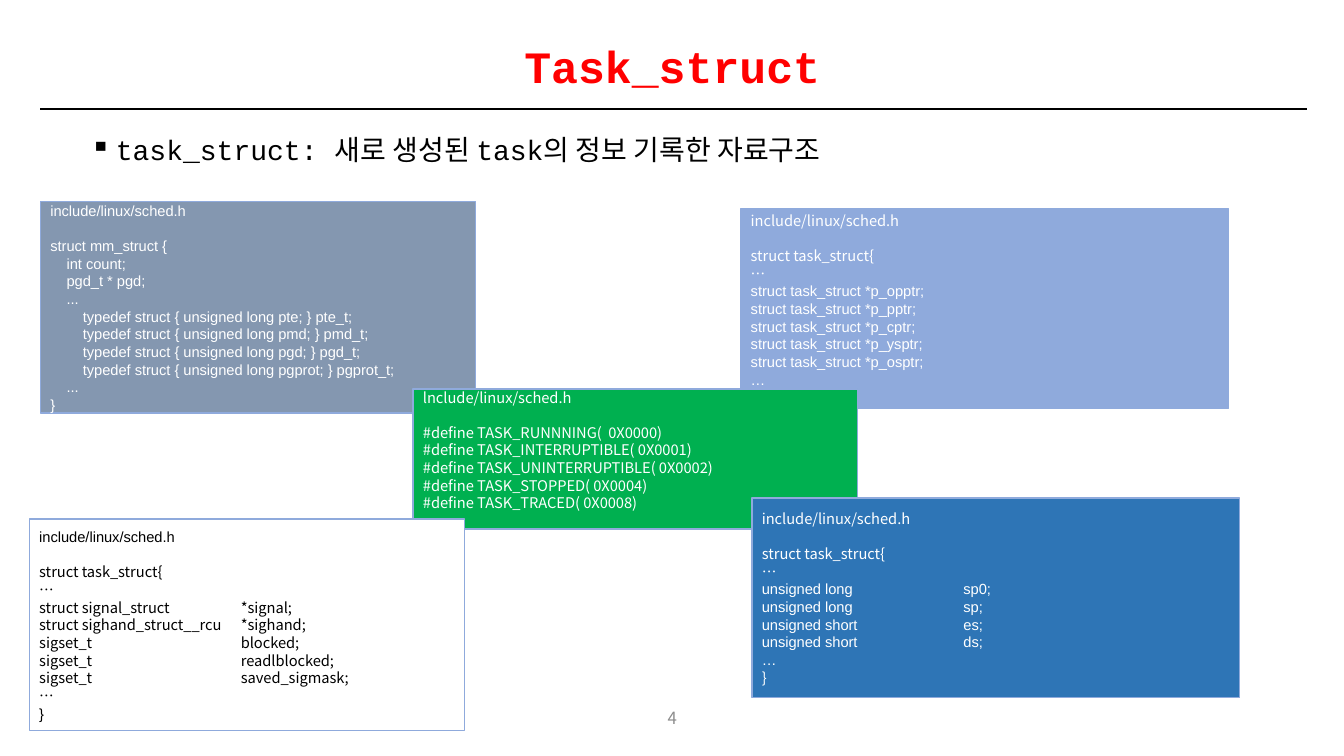
"""Build a slide showing the kernel structures around task_struct."""
from dataclasses import dataclass

from lxml.etree import SubElement
from pptx import Presentation
from pptx.dml.color import RGBColor
from pptx.enum.shapes import MSO_CONNECTOR, MSO_SHAPE
from pptx.enum.text import MSO_ANCHOR, PP_ALIGN
from pptx.oxml.ns import qn
from pptx.util import Cm, Pt

COLORS = {
    "black": "000000",
    "white": "FFFFFF",
    "red": "FF0000",
    "page": "8C8C8C",
    "slate": "8497B0",
    "sky": "8FAADC",
    "green": "00B050",
    "blue": "2E75B6",
}
ARIAL, COURIER, NOTO = "Arial", "Courier New", "Noto Sans CJK KR"
CODE_LINE = Pt(12.6)
INDENT_STEP = 0.41
VALUE_COLUMN = 5.08


@dataclass
class Line:
    text: str
    font: str = NOTO
    level: int = 0


@dataclass
class CodeBox:
    left: float
    top: float
    width: float
    height: float
    fill: str
    ink: str
    lines: list[Line]


@dataclass
class Label:
    text: str
    left: float
    top: float
    width: float
    height: float
    font: str
    size: float
    color: str
    bold: bool = False


def lines_of(font: str, *texts: str, level: int = 0) -> list[Line]:
    return [Line(text, font, level) for text in texts]


CODE_BOXES = [
    CodeBox(1.02, 5.08, 10.97, 5.33, "slate", "white", [
        *lines_of(ARIAL, "include/linux/sched.h", "struct mm_struct {"),
        *lines_of(ARIAL, "int count;", "pgd_t * pgd;", "...", level=1),
        *[Line(f"typedef struct {{ unsigned long {name}; }} {name}_t;", ARIAL, 2)
          for name in ("pte", "pmd", "pgd", "pgprot")],
        Line("...", ARIAL, 1),
        Line("}", ARIAL),
    ]),
    CodeBox(18.67, 5.26, 12.29, 5.03, "sky", "white", [
        *lines_of(NOTO, "include/linux/sched.h", "struct task_struct{", "…"),
        *[Line(f"struct task_struct *p_{name};", ARIAL)
          for name in ("opptr", "pptr", "cptr", "ysptr", "osptr")],
        Line("…", ARIAL),
        Line("}"),
    ]),
    CodeBox(10.41, 9.8, 11.2, 3.53, "green", "white", lines_of(
        NOTO,
        "lnclude/linux/sched.h",
        "#define TASK_RUNNNING(  0X0000)",
        "#define TASK_INTERRUPTIBLE( 0X0001)",
        "#define TASK_UNINTERRUPTIBLE( 0X0002)",
        "#define TASK_STOPPED( 0X0004)",
        "#define TASK_TRACED( 0X0008)",
        "…",
    )),
    CodeBox(0.74, 13.08, 10.97, 5.33, "white", "black", [
        Line("include/linux/sched.h", ARIAL),
        *lines_of(
            NOTO,
            "struct task_struct{",
            "…",
            "struct signal_struct\t*signal;",
            "struct sighand_struct__rcu\t*sighand;",
            "sigset_t\tblocked;",
            "sigset_t\treadlblocked;",
            "sigset_t\tsaved_sigmask;",
            "…",
        ),
        Line("}", ARIAL),
    ]),
    CodeBox(18.95, 12.55, 12.29, 5.03, "blue", "white", [
        *lines_of(NOTO, "include/linux/sched.h", "struct task_struct{", "…"),
        *lines_of(ARIAL, "unsigned long\tsp0;", "unsigned long\tsp;",
                  "unsigned short\tes;", "unsigned short\tds;", "…"),
        Line("}"),
    ]),
]
TITLE = Label("Task_struct", 2.34, 0.74, 29.21, 1.85, COURIER, 32, "red", True)
PAGE_NUMBER = Label("4", 13.13, 17.58, 7.62, 1.02, NOTO, 12, "page")
SUMMARY = Label("task_struct: 새로 생성된 task의 정보 기록한 자료구조",
                2.03, 3.3, 29.21, 13.36, COURIER, 20, "black")


def rgb(name: str) -> RGBColor:
    return RGBColor.from_string(COLORS[name])


def style_font(paragraph, name: str, size: float, color: str, bold: bool = False) -> None:
    font = paragraph.font
    font.name, font.size, font.bold = name, Pt(size), bold
    font.color.rgb = rgb(color)
    properties = paragraph._p.pPr.find(qn("a:defRPr"))
    SubElement(properties, qn("a:ea"), typeface=NOTO)


def add_label(slide, label: Label, anchor: MSO_ANCHOR, align: PP_ALIGN):
    shape = slide.shapes.add_textbox(
        Cm(label.left), Cm(label.top), Cm(label.width), Cm(label.height))
    frame = shape.text_frame
    frame.word_wrap = True
    frame.vertical_anchor = anchor
    paragraph = frame.paragraphs[0]
    paragraph.text = label.text
    paragraph.alignment = align
    style_font(paragraph, label.font, label.size, label.color, label.bold)
    return paragraph


def add_summary(slide) -> None:
    paragraph = add_label(slide, SUMMARY, MSO_ANCHOR.TOP, PP_ALIGN.LEFT)
    paragraph.line_spacing = 0.9
    paragraph.space_before = Pt(10)
    properties = paragraph._p.pPr
    properties.set("marL", str(Cm(0.64)))
    properties.set("indent", str(-Cm(0.64)))
    bullet = SubElement(properties, qn("a:buChar"), char="▪")
    properties.find(qn("a:defRPr")).addprevious(bullet)


def add_rule(slide) -> None:
    rule = slide.shapes.add_connector(
        MSO_CONNECTOR.STRAIGHT, Cm(1.02), Cm(2.74), Cm(32.94), Cm(2.74))
    rule.line.color.rgb = rgb("black")
    rule.line.width = Pt(1.5)
    SubElement(rule._element.spPr, qn("a:effectLst"))


def add_code_box(slide, box: CodeBox) -> None:
    shape = slide.shapes.add_shape(
        MSO_SHAPE.RECTANGLE, Cm(box.left), Cm(box.top), Cm(box.width), Cm(box.height))
    shape.shadow.inherit = False
    shape.fill.solid()
    shape.fill.fore_color.rgb = rgb(box.fill)
    shape.line.color.rgb = rgb("sky")
    shape.line.width = Pt(1)
    frame = shape.text_frame
    frame.word_wrap = True
    frame.vertical_anchor = MSO_ANCHOR.MIDDLE
    for index, line in enumerate(box.lines):
        paragraph = frame.add_paragraph() if index else frame.paragraphs[0]
        paragraph.text = line.text
        paragraph.alignment = PP_ALIGN.LEFT
        paragraph.line_spacing = CODE_LINE
        paragraph.space_after = Pt(0) if index else CODE_LINE
        style_font(paragraph, line.font, 10.5, box.ink)
        properties = paragraph._p.pPr
        properties.set("marL", str(Cm(line.level * INDENT_STEP)))
        if "\t" in line.text:
            tabs = SubElement(properties, qn("a:tabLst"))
            SubElement(tabs, qn("a:tab"), pos=str(Cm(VALUE_COLUMN)), algn="l")
            properties.find(qn("a:defRPr")).addprevious(tabs)


def main() -> None:
    presentation = Presentation()
    presentation.slide_width, presentation.slide_height = Cm(33.87), Cm(19.05)
    slide = presentation.slides.add_slide(presentation.slide_layouts[6])
    for label in (TITLE, PAGE_NUMBER):
        add_label(slide, label, MSO_ANCHOR.MIDDLE, PP_ALIGN.CENTER)
    add_rule(slide)
    add_summary(slide)
    for box in CODE_BOXES:
        add_code_box(slide, box)
    presentation.save("out.pptx")


if __name__ == "__main__":
    main()
